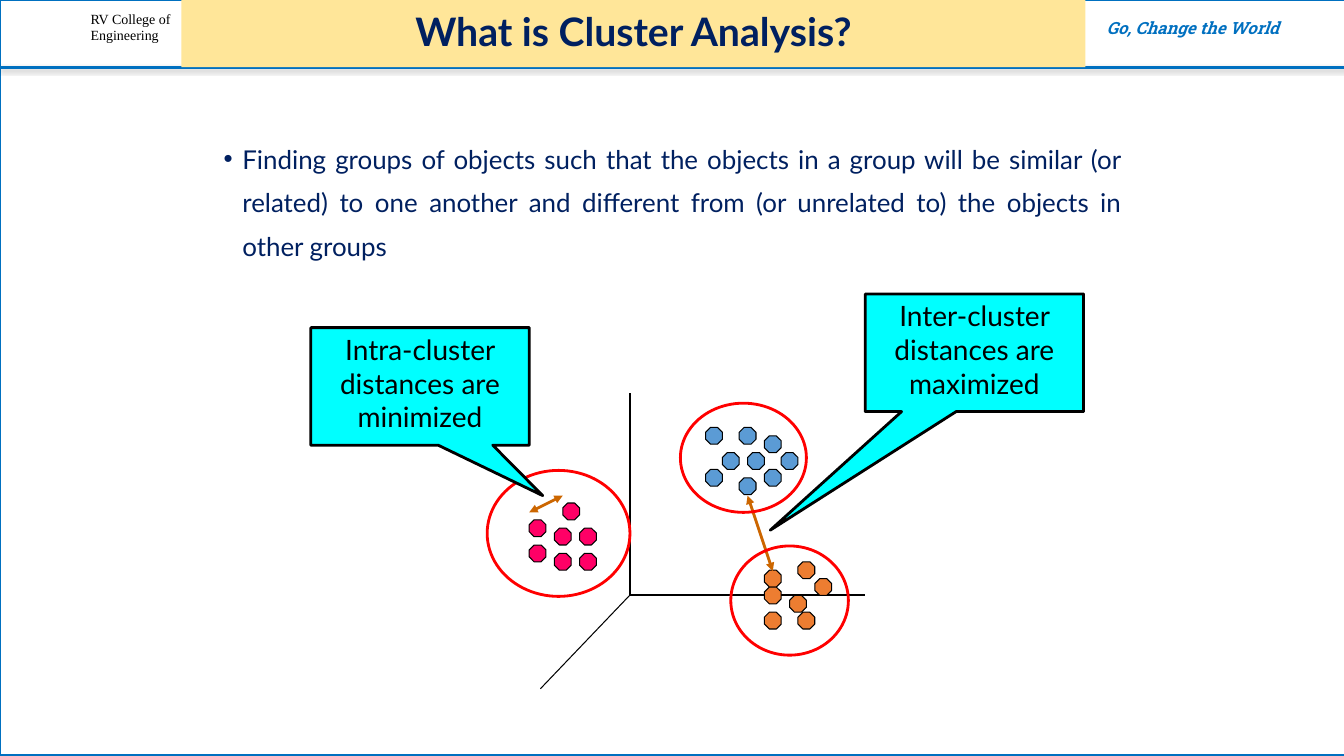
from lxml import etree
from pptx import Presentation
from pptx.dml.color import RGBColor
from pptx.enum.shapes import MSO_CONNECTOR, MSO_SHAPE
from pptx.enum.text import MSO_ANCHOR, MSO_AUTO_SIZE, PP_ALIGN
from pptx.oxml.ns import qn
from pptx.util import Pt

COLORS = {
    "background": "FFFFFF",
    "banner": "FFE699",
    "navy": "002060",
    "frame": "0070C0",
    "black": "000000",
    "callout": "00FFFF",
    "ring": "FF0000",
    "distance": "CC6600",
    "blue": "5B9BD5",
    "pink": "FF0066",
    "orange": "ED7D31",
}
TITLE_ONLY = 5
GRID = 6
DOT_SIZE = 12

# Each cluster: color, origin of its dots, and dots as (column, row) on the grid
CLUSTERS = [
    ("blue", (504, 305.3), [(2, 3), (5, 3), (4, 0), (4, 6), (9, 3),
                            (7, 1), (0, 0), (7, 5), (0, 5)]),
    ("pink", (378, 359.3), [(0, 2), (3, 3), (3, 6), (6, 3),
                            (4, 0), (6, 6), (0, 5)]),
    ("orange", (546, 401.3), [(0, 1), (6, 2), (3, 4), (0, 6),
                              (4, 6), (0, 3), (4, 0)]),
]
RINGS = [(348, 336, 102, 90), (486, 288, 90, 78), (522, 390, 84, 78)]
AXES = [(450, 281, 450, 425), (450, 425, 618, 425), (450, 425, 386, 492)]


def color(name):
    return RGBColor.from_string(COLORS[name])


def add_figure(slide, kind, box, fill=None, line="black", width=0.75):
    shape = slide.shapes.add_shape(kind, *map(Pt, box))
    shape.shadow.inherit = False
    if fill:
        shape.fill.solid()
        shape.fill.fore_color.rgb = color(fill)
    else:
        shape.fill.background()
    shape.line.color.rgb = color(line)
    shape.line.width = Pt(width)
    return shape


def add_line(slide, ends, line="black", width=0.75):
    """Add a straight line and return it with its empty effect list."""
    connector = slide.shapes.add_connector(MSO_CONNECTOR.STRAIGHT, *map(Pt, ends))
    connector.line.color.rgb = color(line)
    connector.line.width = Pt(width)
    properties = connector.element.spPr
    effects = etree.SubElement(properties, qn("a:effectLst"))
    return connector, effects


def add_distance_arrow(slide, ends):
    connector, _ = add_line(slide, ends, "distance", 2)
    outline = connector.line._get_or_add_ln()
    for end in ("a:headEnd", "a:tailEnd"):
        etree.SubElement(outline, qn(end), type="triangle")


def style_text(frame, font_name, size, font_color, align, bold=None, italic=None):
    frame.word_wrap = True
    for paragraph in frame.paragraphs:
        paragraph.alignment = align
        for run in paragraph.runs:
            run.font.name = font_name
            run.font.size = Pt(size)
            run.font.bold = bold
            run.font.italic = italic
            run.font.color.rgb = color(font_color)


def add_text(slide, box, text, *style, **emphasis):
    frame = slide.shapes.add_textbox(*map(Pt, box)).text_frame
    frame.text = text
    style_text(frame, *style, **emphasis)
    return frame


def add_callout(slide, box, pointer, text):
    callout = add_figure(slide, MSO_SHAPE.RECTANGULAR_CALLOUT, box, "callout", width=2)
    for index, value in enumerate(pointer):
        callout.adjustments[index] = value
    frame = callout.text_frame
    frame.text = text
    frame.vertical_anchor = MSO_ANCHOR.TOP
    style_text(frame, "Lato", 20, "black", PP_ALIGN.CENTER)


def add_header(slide):
    add_figure(slide, MSO_SHAPE.RECTANGLE, (0, -0.5, 963, 540), "background", "frame", 2)
    add_text(slide, (57.6, 3.6, 106, 32), "RV College of\nEngineering",
             "Times New Roman", 10, "black", PP_ALIGN.LEFT)
    _, effects = add_line(slide, (0, 48, 966, 48), "frame", 2)
    shadow = etree.SubElement(effects, qn("a:outerShdw"), blurRad=str(Pt(3.1)),
                              dist=str(Pt(1.6)), dir="5400000", rotWithShape="0")
    shade = etree.SubElement(shadow, qn("a:srgbClr"), val=COLORS["black"])
    etree.SubElement(shade, qn("a:alpha"), val="38000")
    add_text(slide, (744, 9.4, 216, 21.6), "Go, Change the World",
             "Roboto Slab", 12, "frame", PP_ALIGN.CENTER, bold=True, italic=True)


def set_title(slide, text):
    """Fill the title and bring it in front of the header."""
    title = slide.shapes.title
    title.element.getparent().append(title.element)
    title.left, title.top, title.width, title.height = map(Pt, (129.6, 0, 645.8, 48))
    title.fill.solid()
    title.fill.fore_color.rgb = color("banner")
    frame = title.text_frame
    frame.text = text
    frame.auto_size = MSO_AUTO_SIZE.NONE
    frame.vertical_anchor = MSO_ANCHOR.MIDDLE
    frame.paragraphs[0].line_spacing = 0.9
    style_text(frame, "Lato", 28, "navy", PP_ALIGN.CENTER, bold=True)


def add_definition(slide, text):
    frame = add_text(slide, (152.6, 90, 655.2, 102), text,
                     "Lato", 18.5, "navy", PP_ALIGN.JUSTIFY)
    paragraph = frame.paragraphs[0]
    paragraph.line_spacing = 1.4
    properties = paragraph._p.get_or_add_pPr()
    properties.set("marL", str(Pt(13.5)))
    properties.set("indent", str(Pt(-13.5)))
    etree.SubElement(properties, qn("a:buFont"), typeface="Arial")
    etree.SubElement(properties, qn("a:buChar"), char="•")


def add_cluster(slide, fill, origin, cells):
    left, top = origin
    for column, row in cells:
        box = (left + column * GRID, top + row * GRID, DOT_SIZE, DOT_SIZE)
        add_figure(slide, MSO_SHAPE.OCTAGON, box, fill)


def main():
    presentation = Presentation()
    presentation.slide_width, presentation.slide_height = Pt(960), Pt(540)
    slide = presentation.slides.add_slide(presentation.slide_layouts[TITLE_ONLY])

    add_header(slide)
    set_title(slide, "What is Cluster Analysis?")
    add_definition(slide, "Finding groups of objects such that the objects in a group "
                          "will be similar (or related) to one another and different "
                          "from (or unrelated to) the objects in other groups")
    for ends in AXES:
        add_line(slide, ends)
    for cluster in CLUSTERS:
        add_cluster(slide, *cluster)
    add_distance_arrow(slide, (552, 408, 534, 354))
    add_callout(slide, (618, 210, 156, 84), (-0.935, 1.509),
                "Inter-cluster distances are maximized")
    for box in RINGS:
        add_figure(slide, MSO_SHAPE.OVAL, box, line="ring", width=2)
    add_distance_arrow(slide, (378, 366, 402, 354))
    add_callout(slide, (222, 234, 156, 84), (0.562, 0.929),
                "Intra-cluster distances are minimized")
    presentation.save("out.pptx")


if __name__ == "__main__":
    main()
